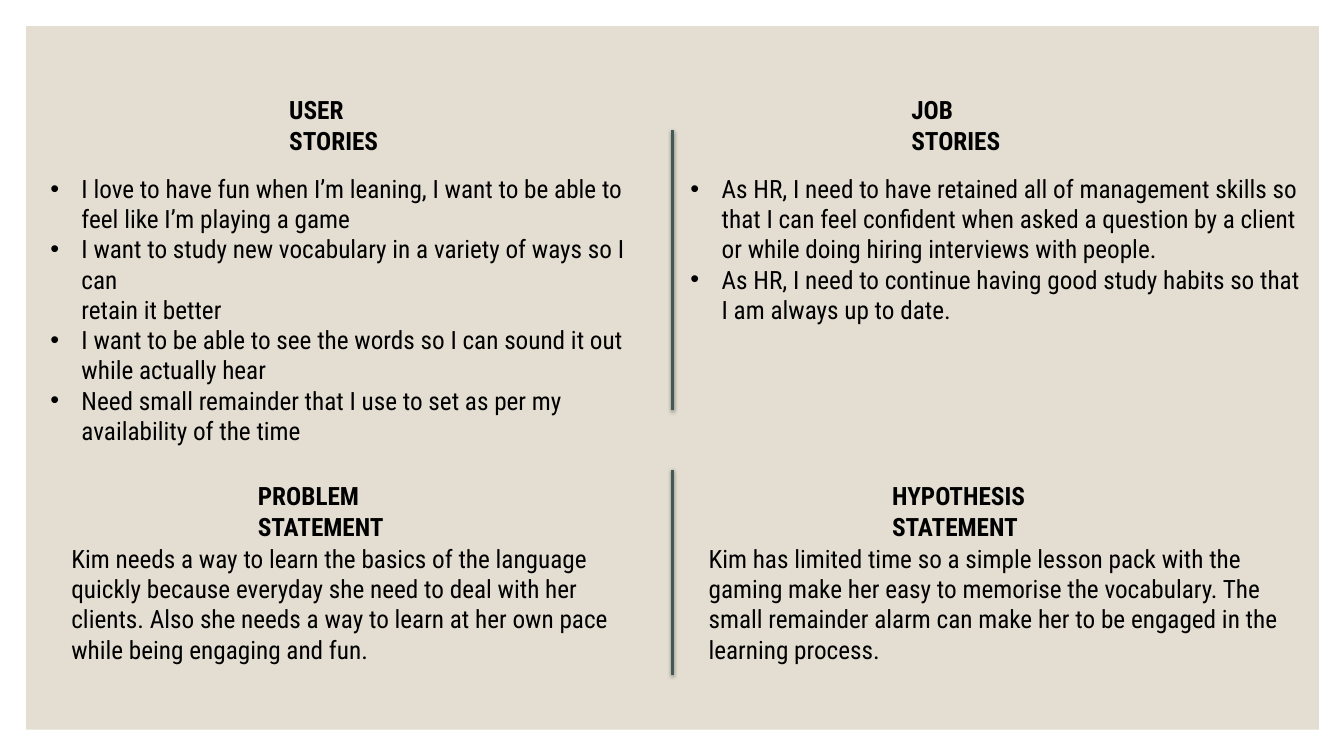
from dataclasses import dataclass

from lxml import etree
from pptx import Presentation
from pptx.dml.color import RGBColor
from pptx.enum.shapes import MSO_CONNECTOR as Link, MSO_SHAPE as Kind
from pptx.enum.text import MSO_AUTO_SIZE as Fit
from pptx.oxml import parse_xml
from pptx.oxml.ns import nsdecls, qn
from pptx.slide import Slide
from pptx.util import Inches, Pt

FONT = "Roboto Condensed"
INK, SAND, SLATE, WHITE = "000000", "E3DED1", "445856", "FFFFFF"
MARGIN = 0.26
MIDDLE = 6.67


@dataclass
class Block:
    left: float
    top: float
    width: float
    height: float
    lines: list[str]
    bold: bool = False
    bullets: bool = False


@dataclass
class Rule:
    top: float
    bottom: float


BLOCKS = [
    Block(2.77, 0.89, 1.42, 0.4, ["USER STORIES"], bold=True),
    Block(0.4, 1.67, 6.25, 2.52, [
        "I love to have fun when I’m leaning, I want to be able to feel like "
        "I’m playing a game",
        "I want to study new vocabulary in a variety of ways so I can "
        "\vretain it better",
        "I want to be able to see the words so I can sound it out while "
        "actually hear",
        "Need small remainder that I use to set as per my availability of "
        "the time",
    ], bullets=True),
    Block(8.94, 0.89, 1.31, 0.4, ["JOB STORIES"], bold=True),
    Block(6.75, 1.67, 6.3, 1.62, [
        "As HR, I need to have retained all of management skills so that I "
        "can feel confident when asked a question by a client or while doing "
        "hiring interviews with people.",
        "As HR, I need to continue having good study habits so that I am "
        "always up to date.",
    ], bullets=True),
    Block(2.46, 4.72, 2.04, 0.4, ["PROBLEM STATEMENT"], bold=True),
    Block(0.61, 5.34, 5.73, 1.01, [
        "Kim needs a way to learn the basics of the language quickly because "
        "everyday she need to deal with her clients. Also she needs a way to "
        "learn at her own pace while being engaging and fun.",
    ]),
    Block(8.75, 4.72, 2.39, 0.4, ["HYPOTHESIS STATEMENT"], bold=True),
    Block(6.93, 5.34, 6.03, 1.01, [
        "Kim has limited time so a simple lesson pack with the gaming make "
        "her easy to memorise the vocabulary. The small remainder alarm can "
        "make her to be engaged in the learning process.",
    ]),
]
RULES = [Rule(1.29, 4.07), Rule(4.66, 6.7)]


def color(code: str) -> RGBColor:
    return RGBColor.from_string(code)


def add_bullet(para) -> None:
    props = para._p.get_or_add_pPr()
    props.set("marL", str(Inches(0.31)))
    props.set("indent", str(-Inches(0.31)))
    etree.SubElement(props, qn("a:buFont")).set("typeface", "Arial")
    etree.SubElement(props, qn("a:buChar")).set("char", "•")


def add_block(slide: Slide, block: Block) -> None:
    box = slide.shapes.add_textbox(Inches(block.left), Inches(block.top),
                                   Inches(block.width), Inches(block.height))
    frame = box.text_frame
    frame.word_wrap = True
    frame.auto_size = Fit.SHAPE_TO_FIT_TEXT
    frame.text = "\n".join(block.lines)
    for para in frame.paragraphs:
        if block.bullets:
            add_bullet(para)
        for run in para.runs:
            run.font.name = FONT
            run.font.size = Pt(18)
            run.font.bold = block.bold
            run.font.color.rgb = color(INK)


def add_rule(slide: Slide, rule: Rule) -> None:
    """Draw a vertical divider with a soft shadow below it."""
    line = slide.shapes.add_connector(Link.STRAIGHT, Inches(MIDDLE), Inches(rule.top),
                                      Inches(MIDDLE), Inches(rule.bottom))
    line.line.color.rgb = color(SLATE)
    line.line.width = Pt(1.5)
    line._element.spPr.append(parse_xml(
        f'<a:effectLst {nsdecls("a")}>'
        f'<a:outerShdw blurRad="{Pt(3)}" dist="{Pt(1)}" dir="5400000" rotWithShape="0">'
        f'<a:srgbClr val="{INK}"><a:alpha val="63000"/></a:srgbClr>'
        '</a:outerShdw></a:effectLst>'))


def add_panel(slide: Slide) -> None:
    panel = slide.shapes.add_shape(Kind.RECTANGLE, Inches(MARGIN), Inches(MARGIN),
                                   Inches(12.82), Inches(6.98))
    panel.shadow.inherit = False
    panel.fill.solid()
    panel.fill.fore_color.rgb = color(SAND)
    panel.line.fill.background()


def main() -> None:
    deck = Presentation()
    deck.slide_width, deck.slide_height = Inches(13.33), Inches(7.5)
    slide = deck.slides.add_slide(deck.slide_layouts[6])
    slide.background.fill.solid()
    slide.background.fill.fore_color.rgb = color(WHITE)
    add_panel(slide)
    for block in BLOCKS:
        add_block(slide, block)
    for rule in RULES:
        add_rule(slide, rule)
    deck.save("out.pptx")


if __name__ == "__main__":
    main()
